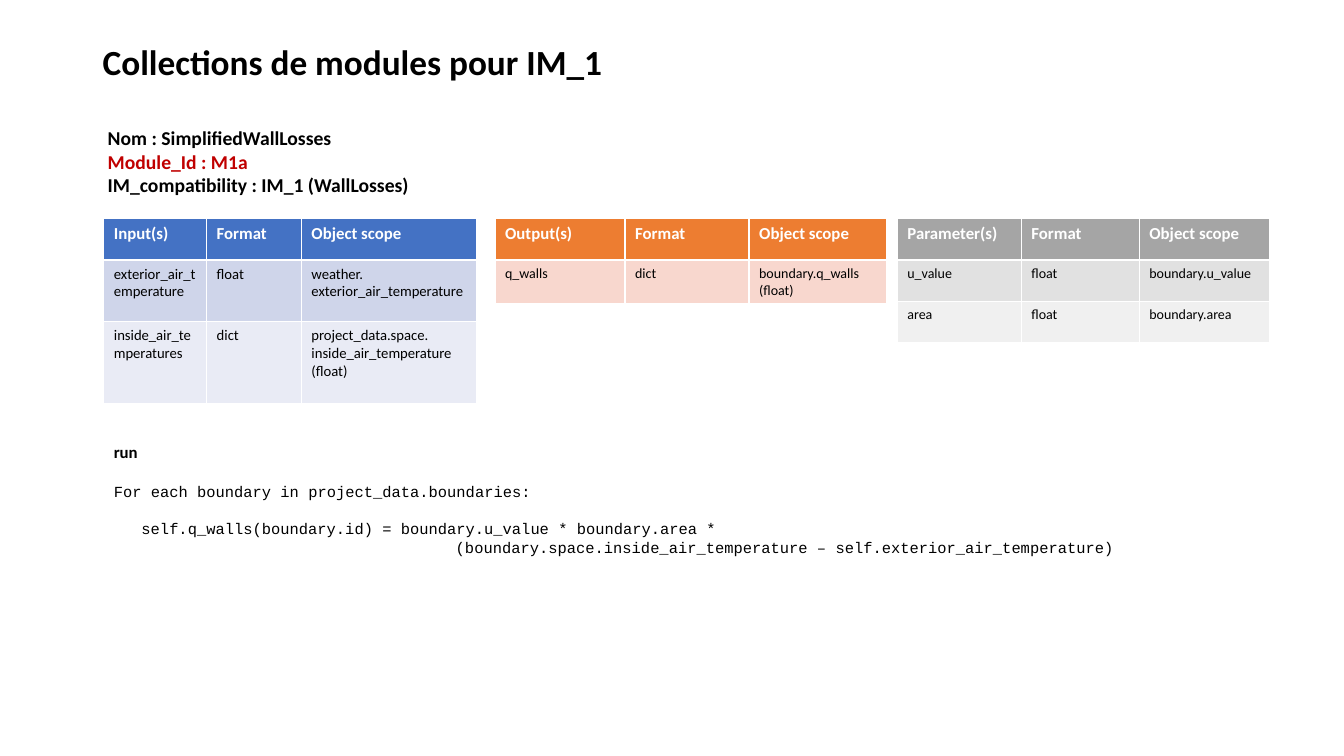
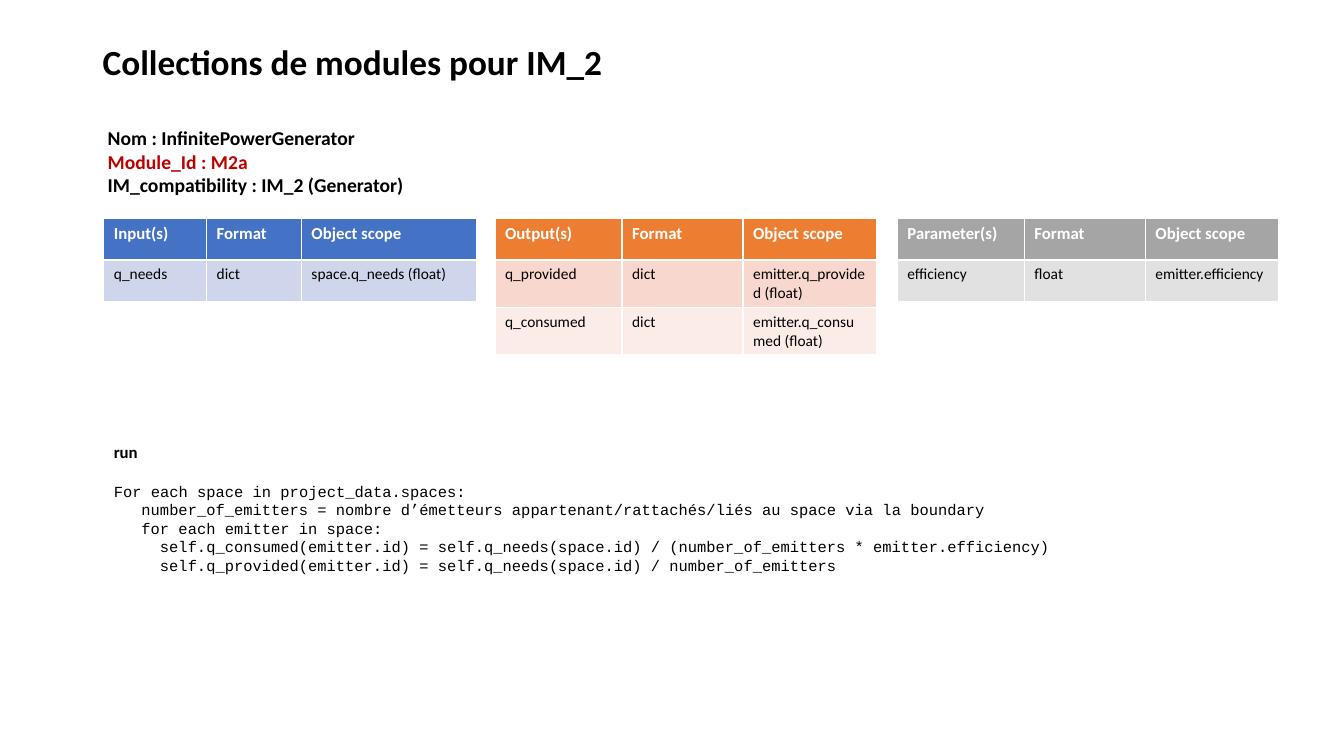
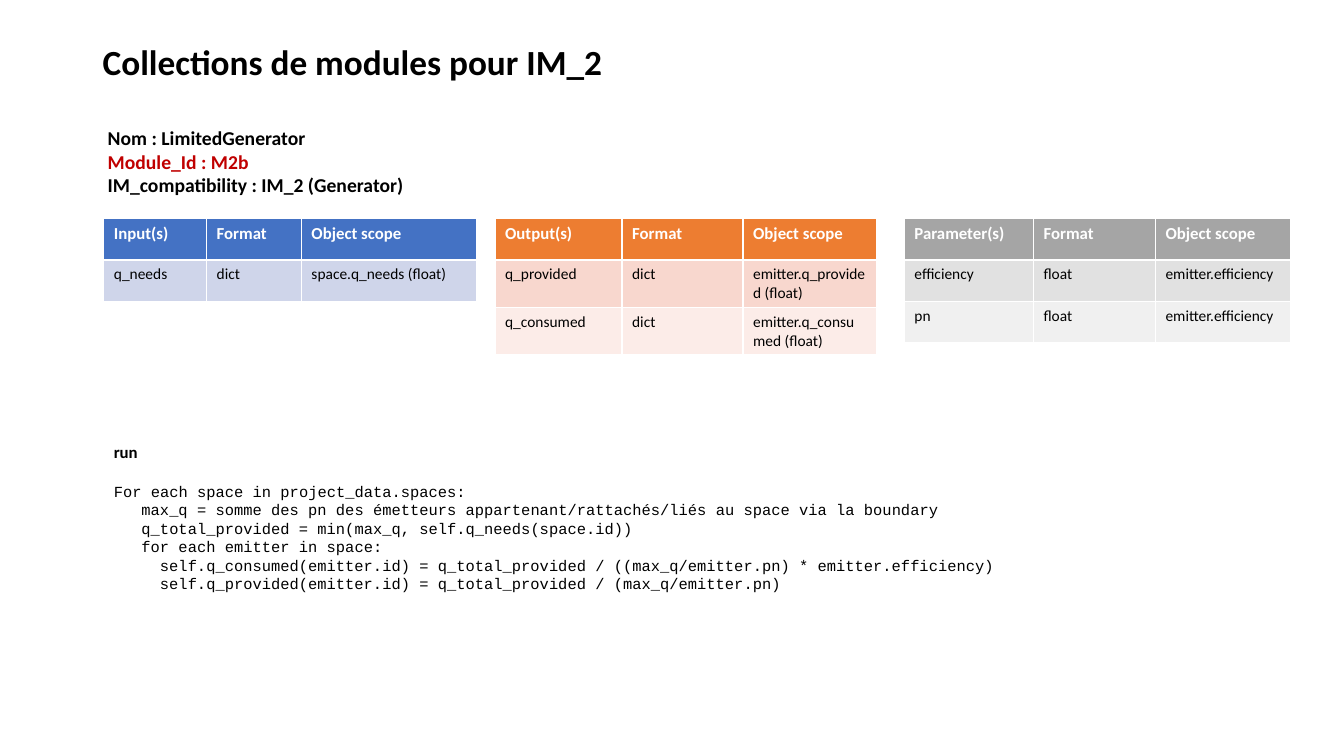
from pptx import Presentation
from pptx.dml.color import RGBColor
from pptx.enum.text import MSO_ANCHOR
from pptx.util import Emu, Pt

PX = 9144  # EMU per px, 100 px to the inch
BLACK = RGBColor(0x00, 0x00, 0x00)
WHITE = RGBColor(0xFF, 0xFF, 0xFF)
RED = RGBColor(0xC0, 0x00, 0x00)
BLUE = RGBColor(0x44, 0x72, 0xC4)
BLUE_MID = RGBColor(0xCF, 0xD5, 0xEA)
BLUE_PALE = RGBColor(0xE9, 0xEB, 0xF5)
ORANGE = RGBColor(0xED, 0x7D, 0x31)
ORANGE_MID = RGBColor(0xF8, 0xD7, 0xCE)
ORANGE_PALE = RGBColor(0xFC, 0xEC, 0xE8)
GREY = RGBColor(0xA5, 0xA5, 0xA5)
GREY_MID = RGBColor(0xE1, 0xE1, 0xE1)
GREY_PALE = RGBColor(0xF0, 0xF0, 0xF0)

SANS, MONO = "Calibri", "Courier New"
CODE_SIZE = 11
CHAR_WIDTH = 0.6 * CODE_SIZE  # points, fixed-pitch font
TABLE_TOP, ROW_HEIGHT = 217, 41

# Heading of the first column, header fill, alternating body fills
INPUT = ("Input(s)", BLUE, (BLUE_MID, BLUE_PALE))
OUTPUT = ("Output(s)", ORANGE, (ORANGE_MID, ORANGE_PALE))
PARAMETER = ("Parameter(s)", GREY, (GREY_MID, GREY_PALE))


def px(n):
    return Emu(n * PX)


def write(p, text, size=12, color=BLACK, bold=False, font=SANS,
          before=0, indent=0, spacing=None):
    """Fill a paragraph; before and indent are in points."""
    r = p.add_run()
    r.text = text
    r.font.name, r.font.size, r.font.bold = font, Pt(size), bold
    r.font.color.rgb = color
    if before:
        p.space_before = Pt(before)
    if indent:
        p._p.get_or_add_pPr().set("marL", str(Pt(indent)))
    if spacing:
        p.line_spacing = spacing


class Deck:
    def __init__(self):
        self.prs = Presentation()
        self.prs.slide_width, self.prs.slide_height = px(1333), px(750)
        self.slide = None

    def add_slide(self, title):
        self.slide = self.prs.slides.add_slide(self.prs.slide_layouts[6])
        self.text(92, 40, 1150, 47,
                  [(title, dict(size=25.2, bold=True, spacing=0.9))],
                  anchor=MSO_ANCHOR.MIDDLE)

    def text(self, x, y, w, h, lines, anchor=MSO_ANCHOR.TOP):
        """Add a text box; lines are pairs of text and format."""
        tf = self.slide.shapes.add_textbox(px(x), px(y), px(w), px(h)).text_frame
        tf.word_wrap = True
        tf.vertical_anchor = anchor
        for i, (text, style) in enumerate(lines):
            p = tf.add_paragraph() if i else tf.paragraphs[0]
            write(p, text, **style)

    def identity(self, name, module_id, compatibility):
        head = dict(size=14, bold=True)
        self.text(97, 120, 364, 148, [
            (f"Nom : {name}", head),
            (f"Module_Id : {module_id}", dict(head, color=RED)),
            (f"IM_compatibility : {compatibility}", head),
        ])

    def table(self, x, kind, widths, rows, size=11, heights=None):
        heading, header_fill, body_fills = kind
        heights = [ROW_HEIGHT] + (heights or [ROW_HEIGHT] * len(rows))
        table = self.slide.shapes.add_table(
            len(heights), len(widths), px(x), px(TABLE_TOP),
            px(sum(widths)), px(sum(heights))).table
        for column, width in zip(table.columns, widths):
            column.width = px(width)
        for row, height in zip(table.rows, heights):
            row.height = px(height)
        for i, texts in enumerate([(heading, "Format", "Object scope"), *rows]):
            if i:
                fill, style = body_fills[(i - 1) % 2], dict(size=size)
            else:
                fill, style = header_fill, dict(color=WHITE, bold=True)
            for j, text in enumerate(texts):
                cell = table.cell(i, j)
                cell.fill.solid()
                cell.fill.fore_color.rgb = fill
                write(cell.text_frame.paragraphs[0], text, **style)

    def run_code(self, height, lines):
        """Add the run block; lines are (characters of indent, text, points before)."""
        self.text(103, 433, 1171, height, [("run", dict(bold=True))] + [
            (text, dict(size=CODE_SIZE, font=MONO, before=before,
                        indent=chars * CHAR_WIDTH))
            for chars, text, before in lines])


INPUT_WIDTHS = (102, 94, 174)
EMITTER_WIDTHS = (126, 120, 132)
RUN_GAP, CODE_GAP = 14.6, 13.4
EFFICIENCY = ("efficiency", "float", "emitter.efficiency")


def generator_slide(deck, name, module_id):
    """Start a slide of the IM_2 family with its common inputs and outputs."""
    deck.add_slide("Collections de modules pour IM_2")
    deck.identity(name, module_id, "IM_2 (Generator)")
    deck.table(103, INPUT, INPUT_WIDTHS,
               [("q_needs", "dict", "space.q_needs (float)")])
    deck.table(491, OUTPUT, EMITTER_WIDTHS, [
        ("q_provided", "dict", "emitter.q_provided (float)"),
        ("q_consumed", "dict", "emitter.q_consumed (float)"),
    ], heights=[46, 46])


def main():
    deck = Deck()

    deck.add_slide("Collections de modules pour IM_1")
    deck.identity("SimplifiedWallLosses", "M1a", "IM_1 (WallLosses)")
    deck.table(103, INPUT, INPUT_WIDTHS, [
        ("exterior_air_temperature", "float", "weather. exterior_air_temperature"),
        ("inside_air_temperatures", "dict",
         "project_data.space. inside_air_temperature (float)"),
    ], size=10.5, heights=[61, 81])
    deck.table(491, OUTPUT, (129, 123, 136),
               [("q_walls", "dict", "boundary.q_walls (float)")],
               size=10, heights=[43])
    deck.table(890, PARAMETER, (123, 117, 129), [
        ("u_value", "float", "boundary.u_value"),
        ("area", "float", "boundary.area"),
    ], size=10)
    deck.run_code(125, [
        (0, "For each boundary in project_data.boundaries:", RUN_GAP),
        (3, "self.q_walls(boundary.id) = boundary.u_value * boundary.area *", CODE_GAP),
        (37, "(boundary.space.inside_air_temperature – self.exterior_air_temperature)", 0),
    ])

    generator_slide(deck, "InfinitePowerGenerator", "M2a")
    deck.table(890, PARAMETER, EMITTER_WIDTHS, [EFFICIENCY])
    deck.run_code(143, [
        (0, "For each space in project_data.spaces:", RUN_GAP),
        (3, "number_of_emitters = nombre d’émetteurs appartenant/rattachés/liés "
            "au space via la boundary", 0),
        (3, "for each emitter in space:", 0),
        (5, "self.q_consumed(emitter.id) = self.q_needs(space.id) / "
            "(number_of_emitters * emitter.efficiency)", 0),
        (5, "self.q_provided(emitter.id) = self.q_needs(space.id) / "
            "number_of_emitters", 0),
    ])

    generator_slide(deck, "LimitedGenerator", "M2b")
    deck.table(897, PARAMETER, (128, 121, 134),
               [EFFICIENCY, ("pn", "float", "emitter.efficiency")])
    deck.run_code(162, [
        (0, "For each space in project_data.spaces:", RUN_GAP),
        (3, "max_q = somme des pn des émetteurs appartenant/rattachés/liés "
            "au space via la boundary", 0),
        (3, "q_total_provided = min(max_q, self.q_needs(space.id))", 0),
        (3, "for each emitter in space:", 0),
        (5, "self.q_consumed(emitter.id) = q_total_provided / "
            "((max_q/emitter.pn) * emitter.efficiency)", 0),
        (5, "self.q_provided(emitter.id) = q_total_provided / "
            "(max_q/emitter.pn)", 0),
    ])

    deck.prs.save("out.pptx")


if __name__ == "__main__":
    main()
